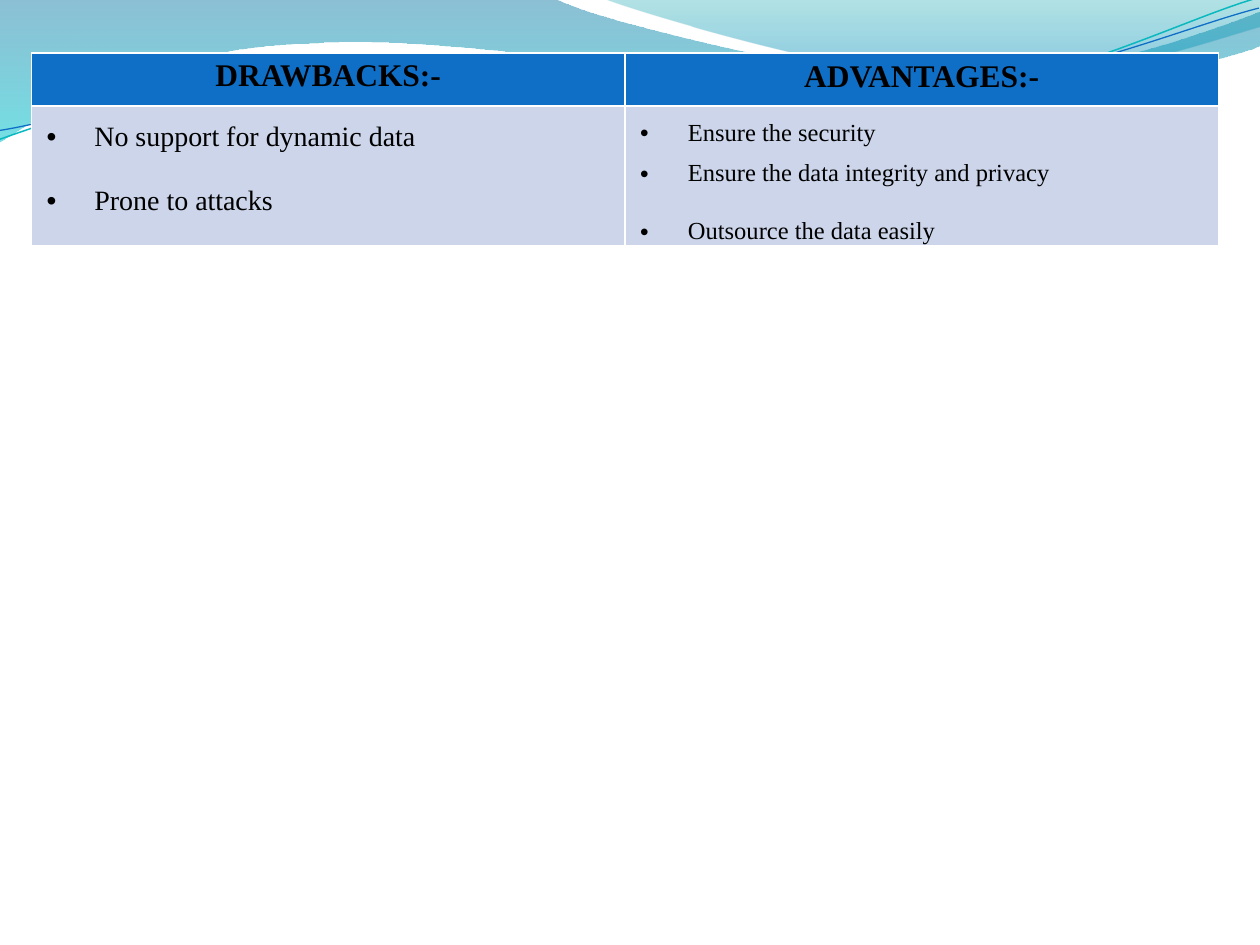
from lxml import etree
from pptx import Presentation
from pptx.dml.color import RGBColor
from pptx.enum.text import PP_ALIGN
from pptx.oxml.ns import qn
from pptx.util import Inches, Pt

CENTER, JUSTIFY = PP_ALIGN.CENTER, PP_ALIGN.JUSTIFY
FONT = "Times New Roman"
BLACK = RGBColor(0, 0, 0)
BLUE = RGBColor(0x0F, 0x6F, 0xC6)
PALE = RGBColor(0xCC, 0xD5, 0xEA)
TEAL = RGBColor(0x0A, 0xB8, 0xBF)
NAVY = RGBColor(0x00, 0x74, 0xA1)
CYAN = RGBColor(0x00, 0xC6, 0xCF)
GREEN = RGBColor(0x00, 0xA1, 0xA9)
SKY = RGBColor(0x00, 0x8B, 0xBF)
TILT = 357.3


def draw(slide, nodes, kinds, close):
    start, *rest = [(Inches(x), Inches(y)) for x, y in nodes]
    pen = slide.shapes.build_freeform(*start)
    pen.add_line_segments(rest, close=close)
    shape = pen.convert_to_shape()
    shape.shadow.inherit = False
    lines = iter(list(shape._element.iter(qn("a:lnTo"))))
    for kind in kinds:
        line = next(lines)
        if kind == "C":
            bend = etree.Element(qn("a:cubicBezTo"))
            line.addprevious(bend)
            for part in (line, next(lines), next(lines)):
                bend.append(part[0])
                part.getparent().remove(part)
    return shape


def wave(slide, nodes, kinds, stops):
    shape = draw(slide, nodes, kinds, True)
    shape.line.fill.background()
    shape.fill.gradient()
    shape.fill.gradient_angle = 270
    for stop, (place, color, alpha) in zip(shape.fill.gradient_stops, stops):
        stop.position = place
        stop.color.rgb = color
    tags = shape._element.spPr.iter(qn("a:srgbClr"))
    for tag, (place, color, alpha) in zip(tags, stops):
        etree.SubElement(tag, qn("a:alpha"), val=str(alpha * 1000))


def strand(slide, nodes, color, width):
    shape = draw(slide, nodes, "CCC", False)
    shape.rotation = TILT
    shape.fill.background()
    shape.line.color.rgb = color
    shape.line.width = Pt(width)


def write(frame, lines, size, align, bold=False, bullet=False,
          spacing=None, after=()):
    for i, line in enumerate(lines):
        para = frame.paragraphs[0] if i == 0 else frame.add_paragraph()
        para.alignment = align
        if spacing:
            para.line_spacing = spacing
        if after:
            para.space_after = Pt(after[i])
        if bullet:
            props = para._p.get_or_add_pPr()
            props.set("marL", str(Inches(0.38)))
            props.set("indent", str(Inches(-0.38)))
            etree.SubElement(props, qn("a:buFont"), typeface="Arial")
            etree.SubElement(props, qn("a:buChar"), char="•")
        run = para.add_run()
        run.text = line
        run.font.name = FONT
        run.font.size = Pt(size)
        run.font.bold = bold
        run.font.color.rgb = BLACK


def style(cell, color, tight=True):
    cell.fill.solid()
    cell.fill.fore_color.rgb = color
    if tight:
        cell.margin_left = cell.margin_right = Inches(0.12)
        cell.margin_top = cell.margin_bottom = 0


def compare(slide):
    frame = slide.shapes.add_table(
        2, 2, Inches(0.25), Inches(0.42), Inches(9.42), Inches(1.61))
    table = frame.table
    for row, height in zip(table.rows, (0.42, 0.31)):
        row.height = Inches(height)
    frame.height = Inches(1.61)
    cons, pros = table.cell(0, 0), table.cell(0, 1)
    style(cons, BLUE)
    style(pros, BLUE, tight=False)
    write(cons.text_frame, ["DRAWBACKS:-"], 18, CENTER, bold=True,
          spacing=1.15, after=(10,))
    write(pros.text_frame, ["ADVANTAGES:-"], 18, CENTER, bold=True)
    lists = (
        (["No support for dynamic data", "Prone to attacks"], 16, (10, 10)),
        (["Ensure the security", "Ensure the data integrity and privacy",
          "Outsource the data easily"], 14, (0, 10, 10)),
    )
    for col, (lines, size, after) in enumerate(lists):
        cell = table.cell(1, col)
        style(cell, PALE)
        write(cell.text_frame, lines, size, JUSTIFY, bullet=True,
              spacing=1.5, after=after)


def main():
    deck = Presentation()
    deck.slide_width, deck.slide_height = Inches(10), Inches(7.5)
    slide = deck.slides.add_slide(deck.slide_layouts[6])
    wave(slide, [(0, 0), (4.4, -0.01),
                 (4.76, 0.17), (6.64, 0.63), (7.58, 0.63),
                 (8.53, 0.63), (9.58, 0.26), (10, 0.09), (10.01, 0.36),
                 (9.83, 0.44), (8.7, 0.76), (7.46, 0.75),
                 (6.22, 0.75), (3.82, 0.28), (2.57, 0.34),
                 (1.29, 0.36), (0.46, 0.83), (-0.01, 1.13), (0, 0)],
         "LCCLCCCL", [(0, NAVY, 45), (1, CYAN, 55)])
    wave(slide, [(4.79, -0.01), (5.09, 0.11), (6.82, 0.62), (7.69, 0.65),
                 (8.56, 0.69), (9.61, 0.32), (10, 0.21), (10, 0),
                 (4.79, -0.01)],
         "CCLL", [(0, GREEN, 30), (0.8, SKY, 45)])
    strand(slide, [(-0.02, 0.87), (0.47, 0.72), (1.58, 0.41), (2.78, 0.42),
                   (3.96, 0.42), (5.91, 0.93), (7.12, 0.9),
                   (8.32, 0.87), (9.4, 0.36), (10, 0.22)], TEAL, 0.85)
    strand(slide, [(-0.02, 0.8), (0.46, 0.75), (1.64, 0.45), (2.83, 0.46),
                   (4.03, 0.46), (5.96, 0.88), (7.16, 0.85),
                   (8.35, 0.83), (9.42, 0.42), (10.01, 0.3)], BLUE, 0.75)
    compare(slide)
    deck.save("out.pptx")


if __name__ == "__main__":
    main()
